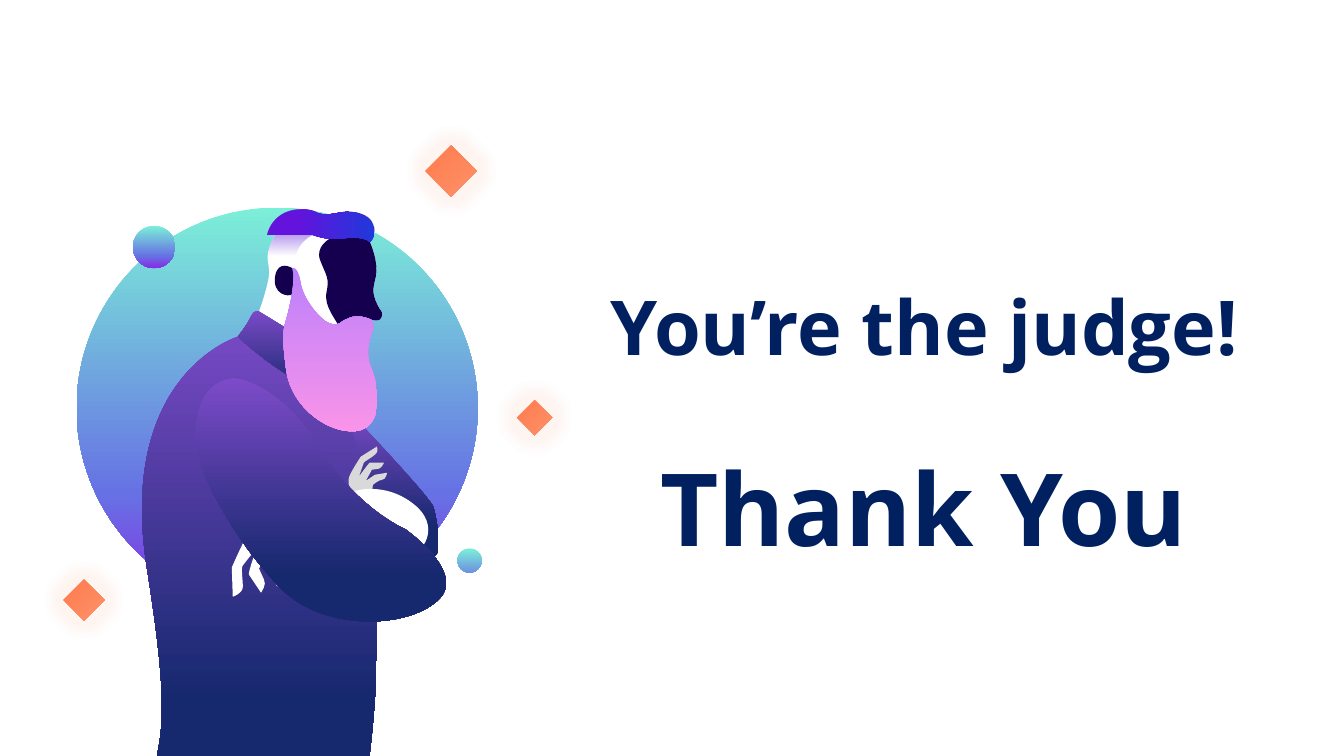
import pptx
import pptx.util
import pptx.dml.color
import pptx.enum.shapes
import pptx.enum.text
import pptx.oxml
import pptx.oxml.ns
from lxml import etree
from pptx.util import Cm

SHAPES = pptx.enum.shapes.MSO_SHAPE
FONT, NAVY = "Open Sans", "002060"
UNIT = Cm(2.54) / 100  # outlines are in hundredths of an inch
COMMANDS = {"M": "moveTo", "L": "lnTo", "C": "cubicBezTo"}

# Gradient stops: position in percent, colour, opacity in percent
SEA = [(0, "7CEFD8", 100), (71, "6672E4", 100), (100, "882BE5", 100)]
PALE_SEA = [(0, "7CEFD8", 100), (100, "6C92E1", 100)]
CLOTH = [(0, "7D4BC9", 100), (78, "16286E", 100)]
COLLAR_CLOTH = [(0, "7D4BC9", 100), (100, "16286E", 100)]
BEARD_PINK = [(0, "BB7FFB", 100), (100, "FB95E9", 100)]
HAIR_SHADE = [(0, "6524DE", 100), (76, "6524DE", 0)]
CAP_BLUE = [(28, "6313DC", 100), (100, "1E3ADA", 100)]
ORANGE = [(0, "FE916A", 100), (100, "FE7B4C", 100)]

# Edges shared by several outlines
CAP_TOP = ("L 265 233 C 265 233 269 210 296 208 C 296 208 304 207 312 210 "
           "C 319 214 327 213 337 211 ")
CAP_FRONT = "C 346 209 363 211 368 220 C 369 222 371 226 371 230 "
MOUTH = "M 368 317 C 368 317 371 321 370 327 C 368 332 360 348 367 364 C 369 369 372 377 373 385 "
NOSE = ("C 367 240 376 260 373 274 C 370 287 368 291 377 307 "
        "C 377 307 382 311 377 317 C 377 317 374 319 368 317")
COLLAR_EDGE = ("C 236 334 245 323 249 314 C 253 306 257 309 257 309 "
               "L 318 347 C 325 361 331 375 337 390 ")

FAR_ARM = ("M 362 425 C 362 425 426 493 430 503 C 433 514 440 549 430 553 "
           "C 419 556 349 550 327 489 C 305 427 313 408 318 407 C 323 405 347 410 362 425")
HEAD = (MOUTH + "C 375 402 373 422 357 427 C 332 433 290 409 283 367 C 281 351 280 341 280 335 "
        "C 280 324 282 324 282 324 L 257 309 C 257 309 268 279 267 268 "
        "C 266 257 262 253 273 233 " + CAP_TOP + CAP_FRONT + "C 371 235 369 238 367 240 " + NOSE)
HAIR = ("M 371 230 C 358 229 339 230 310 233 C 310 233 294 240 293 257 "
        "C 293 257 278 249 267 268 C 266 257 262 253 273 233 " + CAP_TOP + CAP_FRONT)
FACE = (MOUTH + "C 351 397 339 333 337 326 C 335 318 321 305 324 290 C 327 276 324 274 318 259 "
        "C 312 245 327 237 327 237 C 341 215 354 224 360 224 C 362 224 366 224 370 226 "
        "C 372 232 370 238 367 240 " + NOSE)
TORSO = ("M 358 805 L 152 805 C 149 722 177 759 146 565 C 115 371 236 334 236 334 "
         + COLLAR_EDGE + "C 406 577 358 805 358 805")
COLLAR = "M 337 390 C 296 391 236 334 236 334 " + COLLAR_EDGE
EAR = ("M 290 266 C 290 266 276 257 273 274 C 270 292 286 295 290 292 "
       "C 290 292 296 279 290 266")
BEARD = ("M 357 427 C 333 433 290 409 284 367 C 282 351 281 341 281 335 "
         "C 281 330 282 326 282 324 C 282 324 295 283 290 266 C 290 266 295 263 298 279 "
         "C 300 296 317 317 327 321 C 338 324 338 319 341 318 C 345 317 351 310 368 317 "
         "C 368 317 372 321 370 327 C 369 332 361 348 368 364 C 375 380 382 420 357 427")
CAP = ("M 367 240 C 360 234 346 236 334 237 C 323 238 310 233 310 233 " + CAP_TOP
       + "C 346 209 362 211 368 220 C 373 228 371 237 367 240")
NEAR_HAND = ("M 301 501 C 301 501 253 522 248 527 C 244 531 230 563 230 563 L 231 592 "
             "C 231 592 241 589 241 582 C 241 576 239 563 241 561 L 255 543 "
             "C 255 543 246 568 247 570 L 259 588 C 259 588 265 580 262 575 "
             "L 257 564 L 267 547 L 266 565 L 275 582 "
             "C 275 582 283 574 280 570 C 276 565 279 553 279 553 L 307 528")
FAR_HAND = ("M 350 512 C 350 512 345 479 346 475 C 346 471 358 453 358 453 L 374 443 "
            "C 374 443 376 449 372 451 C 369 454 361 458 361 459 L 356 473 "
            "C 356 473 366 459 367 459 L 381 459 C 381 459 379 464 376 465 "
            "L 369 466 L 363 477 L 372 471 L 384 469 "
            "C 384 469 383 476 379 476 C 376 476 370 481 370 481 L 367 505")
WRIST = ("M 351 491 C 351 491 377 480 405 495 C 442 514 422 547 410 548 "
         "C 391 550 350 522 341 521 C 332 519 328 500 351 491")
SLEEVE = ("M 232 375 C 232 375 276 378 315 442 C 354 505 402 525 402 525 "
          "C 402 525 465 569 434 596 C 403 624 322 626 280 585 "
          "C 239 544 191 467 194 430 C 197 393 209 378 232 375")

# Outline, fill, gradient angle, rotation; from back to front
FIGURE = [
    (FAR_ARM, CLOTH, 90, 0), (HEAD, "FFFFFF", 0, 0), (HAIR, HAIR_SHADE, 90, 0),
    (FACE, "15004F", 0, 0), (TORSO, CLOTH, 90, 0), (COLLAR, COLLAR_CLOTH, 90, 0),
    (EAR, "15004F", 0, 0), (BEARD, BEARD_PINK, 90, 0), (CAP, CAP_BLUE, 0, 0),
    (NEAR_HAND, "FFFFFF", 0, 0), (FAR_HAND, "D9D9D9", 0, 0),
    (WRIST, "FFFFFF", 0, 8.1), (SLEEVE, CLOTH, 90, 0),
]
# Left, top, size in cm
DIAMONDS = [(1.6, 14.6, 1.04), (13.03, 10.08, 0.89), (10.72, 3.66, 1.3)]


def color(value):
    """Turn a hex string into a colour."""
    return pptx.dml.color.RGBColor.from_string(value)


def add_child(parent, tag, **attributes):
    """Append a DrawingML element with the given attributes."""
    return etree.SubElement(parent, pptx.oxml.ns.qn("a:" + tag),
                            {key: str(value) for key, value in attributes.items()})


def paint(shape, fill, angle=None):
    """Fill a shape with a colour or stops; no angle means radial."""
    shape.shadow.inherit = False
    shape.line.fill.background()
    if isinstance(fill, str):
        shape.fill.solid()
        shape.fill.fore_color.rgb = color(fill)
        return
    shape.fill.gradient()
    gradient = shape._element.spPr.find(pptx.oxml.ns.qn("a:gradFill"))
    for child in list(gradient):
        gradient.remove(child)
    stops = add_child(gradient, "gsLst")
    for position, value, opacity in fill:
        stop = add_child(stops, "gs", pos=position * 1000)
        tone = add_child(stop, "srgbClr", val=value)
        if opacity < 100:
            add_child(tone, "alpha", val=opacity * 1000)
    if angle is None:
        radial = add_child(gradient, "path", path="circle")
        add_child(radial, "fillToRect", l=100000, t=100000)
    else:
        add_child(gradient, "lin", ang=angle * 60000, scaled=0)


def read_outline(outline):
    """Split an outline into pairs of command letter and points."""
    steps = []
    for word in outline.split():
        if word in COMMANDS:
            steps.append((word, []))
        else:
            steps[-1][1].append(round(int(word) * UNIT))
    return [(letter, list(zip(numbers[::2], numbers[1::2]))) for letter, numbers in steps]


def add_outline(page, outline, fill, angle, rotation):
    """Draw one closed part of the figure, with true curves."""
    steps = read_outline(outline)
    points = [point for _, group in steps for point in group]
    builder = page.shapes.build_freeform(*points[0], scale=1.0)
    builder.add_line_segments(points[1:], close=True)
    shape = builder.convert_to_shape()
    left, top = shape.left, shape.top
    track = next(shape._element.iter(pptx.oxml.ns.qn("a:path")))
    for child in list(track):
        track.remove(child)
    for letter, group in steps:
        command = add_child(track, COMMANDS[letter])
        for x, y in group:
            add_child(command, "pt", x=x - left, y=y - top)
    add_child(track, "close")
    shape.rotation = rotation
    paint(shape, fill, angle)


def add_preset(page, kind, left, top, size, fill, angle=None):
    """Draw a preset shape as wide as it is high."""
    shape = page.shapes.add_shape(kind, Cm(left), Cm(top), Cm(size), Cm(size))
    paint(shape, fill, angle)
    return shape


def add_diamond(page, left, top, size):
    """Draw an orange diamond with a soft glow."""
    diamond = add_preset(page, SHAPES.DIAMOND, left, top, size, ORANGE)
    effects = diamond._element.spPr.find(pptx.oxml.ns.qn("a:effectLst"))
    glow = add_child(effects, "glow", rad=Cm(0.56))
    add_child(add_child(glow, "srgbClr", val="FE7B4C"), "alpha", val=8000)


def write(box, text, size, *place):
    """Place a placeholder and give it one bold line."""
    box.left, box.top, box.width, box.height = map(Cm, place)
    frame = box.text_frame
    frame.text = text
    frame.word_wrap = True
    frame.auto_size = pptx.enum.text.MSO_AUTO_SIZE.NONE
    frame.vertical_anchor = pptx.enum.text.MSO_ANCHOR.MIDDLE
    frame.margin_left = frame.margin_right = frame.margin_top = frame.margin_bottom = 0
    para = frame.paragraphs[0]
    para.alignment = pptx.enum.text.PP_ALIGN.LEFT
    para.space_before = pptx.util.Pt(0)
    para.font.name, para.font.size, para.font.bold = FONT, pptx.util.Pt(size), True
    para.font.color.rgb = color(NAVY)


def main():
    """Build the closing slide."""
    deck = pptx.Presentation()
    deck.slide_width, deck.slide_height = Cm(33.87), Cm(19.05)
    page = deck.slides.add_slide(deck.slide_layouts[0])
    add_preset(page, SHAPES.OVAL, 1.93, 5.23, 10.11, SEA, 90)
    for part in FIGURE:
        add_outline(page, *part)
    add_preset(page, SHAPES.OVAL, 3.35, 5.69, 1.07, SEA, 90)
    add_preset(page, SHAPES.OVAL, 11.53, 13.82, 0.61, PALE_SEA, 90)
    for diamond in DIAMONDS:
        add_diamond(page, *diamond)
    write(page.shapes.title, "Thank You", 72, 16.64, 11.23, 13.46, 3.07)
    write(page.placeholders[1], "You’re the judge!", 54, 15.39, 7.04, 16.99, 2.31)
    deck.save("out.pptx")


main()
